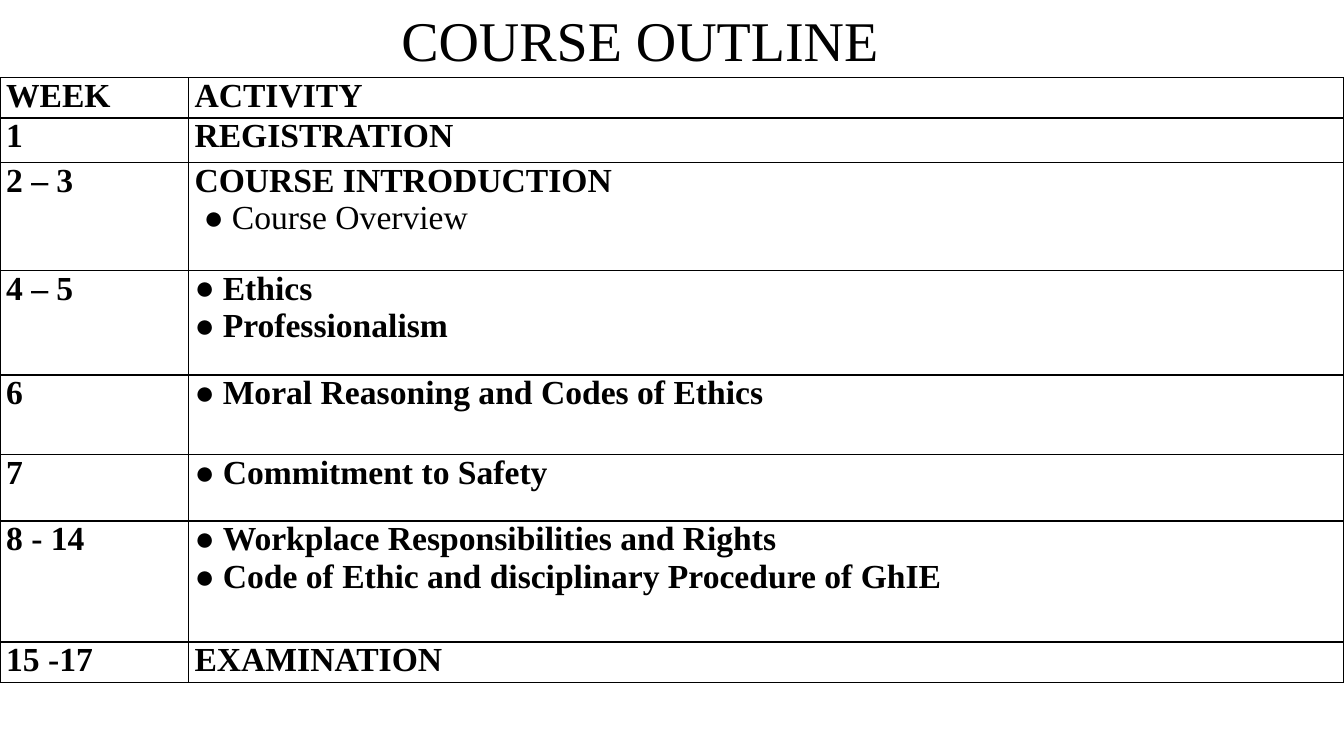
from dataclasses import dataclass

from lxml.etree import SubElement as Sub
from pptx import Presentation as Deck
from pptx.dml.color import RGBColor as Color
from pptx.enum.text import MSO_ANCHOR as Anchor
from pptx.enum.text import MSO_AUTO_SIZE as Fit
from pptx.enum.text import PP_ALIGN as Align
from pptx.oxml.ns import qn
from pptx.slide import Slide
from pptx.table import Table, _Cell as Cell
from pptx.text.text import _Paragraph as Para
from pptx.util import Inches, Pt


@dataclass(frozen=True)
class Theme:
    face: str = "Times New Roman"
    ink: str = "000000"
    head: int = 40
    body: int = 24
    rule: int = 1
    pad: float = 0.06
    hang: float = 0.28


@dataclass(frozen=True)
class Line:
    text: str
    bold: bool = True
    dot: bool = False
    shift: float = 0


@dataclass(frozen=True)
class Row:
    week: str
    tall: float
    lines: tuple[Line, ...]


THEME = Theme()
WIDTHS = (1.87, 11.46)
TOP = 0.77
ROWS = (
    Row("WEEK", 0.4, (Line("ACTIVITY"),)),
    Row("1", 0.44, (Line("REGISTRATION"),)),
    Row("2 – 3", 1.07, (
        Line("COURSE INTRODUCTION"),
        Line("Course Overview", bold=False, dot=True, shift=0.09),
    )),
    Row("4 – 5", 1.04, (
        Line("Ethics", dot=True),
        Line("Professionalism", dot=True),
    )),
    Row("6", 0.79, (Line("Moral Reasoning and Codes of Ethics", dot=True),)),
    Row("7", 0.66, (Line("Commitment to Safety", dot=True),)),
    Row("8 - 14", 1.2, (
        Line("Workplace Responsibilities and Rights", dot=True),
        Line("Code of Ethic and disciplinary Procedure of GhIE", dot=True),
    )),
    Row("15 -17", 0.4, (Line("EXAMINATION"),)),
)


def add_run(para: Para, text: str, size: int, bold: bool) -> None:
    run = para.add_run()
    run.text = text
    font = run.font
    font.name, font.size, font.bold = THEME.face, Pt(size), bold
    font.color.rgb = Color.from_string(THEME.ink)


def add_dot(para: Para, shift: float) -> None:
    props = para._p.get_or_add_pPr()
    props.set("marL", str(Inches(shift + THEME.hang)))
    props.set("indent", str(-Inches(THEME.hang)))
    Sub(props, qn("a:buFont"), typeface=THEME.face)
    Sub(props, qn("a:buChar"), char="●")


def add_rules(cell: Cell) -> None:
    props = cell._tc.get_or_add_tcPr()
    for side in "LRTB":
        edge = Sub(props, qn(f"a:ln{side}"), w=str(Pt(THEME.rule)))
        fill = Sub(edge, qn("a:solidFill"))
        Sub(fill, qn("a:srgbClr"), val=THEME.ink)


def fill_cell(cell: Cell, lines: tuple[Line, ...]) -> None:
    cell.margin_left = cell.margin_right = Inches(THEME.pad)
    cell.margin_top = cell.margin_bottom = Inches(0)
    add_rules(cell)
    cell.fill.background()
    frame = cell.text_frame
    for spot, line in enumerate(lines):
        para = frame.add_paragraph() if spot else frame.paragraphs[0]
        if line.dot:
            add_dot(para, line.shift)
        add_run(para, line.text, THEME.body, line.bold)


def add_title(slide: Slide, text: str) -> None:
    title = slide.shapes.title
    title.left, title.top = Inches(3.88), Inches(0)
    title.width, title.height = Inches(4.98), Inches(TOP)
    frame = title.text_frame
    frame.word_wrap = False
    frame.auto_size = Fit.SHAPE_TO_FIT_TEXT
    frame.vertical_anchor = Anchor.TOP
    para = frame.paragraphs[0]
    para.alignment = Align.LEFT
    add_run(para, text, THEME.head, False)


def add_grid(slide: Slide) -> None:
    tall = sum(row.tall for row in ROWS)
    grid: Table = slide.shapes.add_table(
        len(ROWS), len(WIDTHS), Inches(0), Inches(TOP),
        Inches(sum(WIDTHS)), Inches(tall),
    ).table
    grid.first_row = grid.horz_banding = False
    for col, width in zip(grid.columns, WIDTHS):
        col.width = Inches(width)
    for spot, row in enumerate(ROWS):
        grid.rows[spot].height = Inches(row.tall)
        fill_cell(grid.cell(spot, 0), (Line(row.week),))
        fill_cell(grid.cell(spot, 1), row.lines)


def main() -> None:
    deck = Deck()
    deck.slide_width, deck.slide_height = Inches(13.33), Inches(7.5)
    slide = deck.slides.add_slide(deck.slide_layouts[5])
    add_title(slide, "COURSE OUTLINE")
    add_grid(slide)
    deck.save("out.pptx")


if __name__ == "__main__":
    main()
